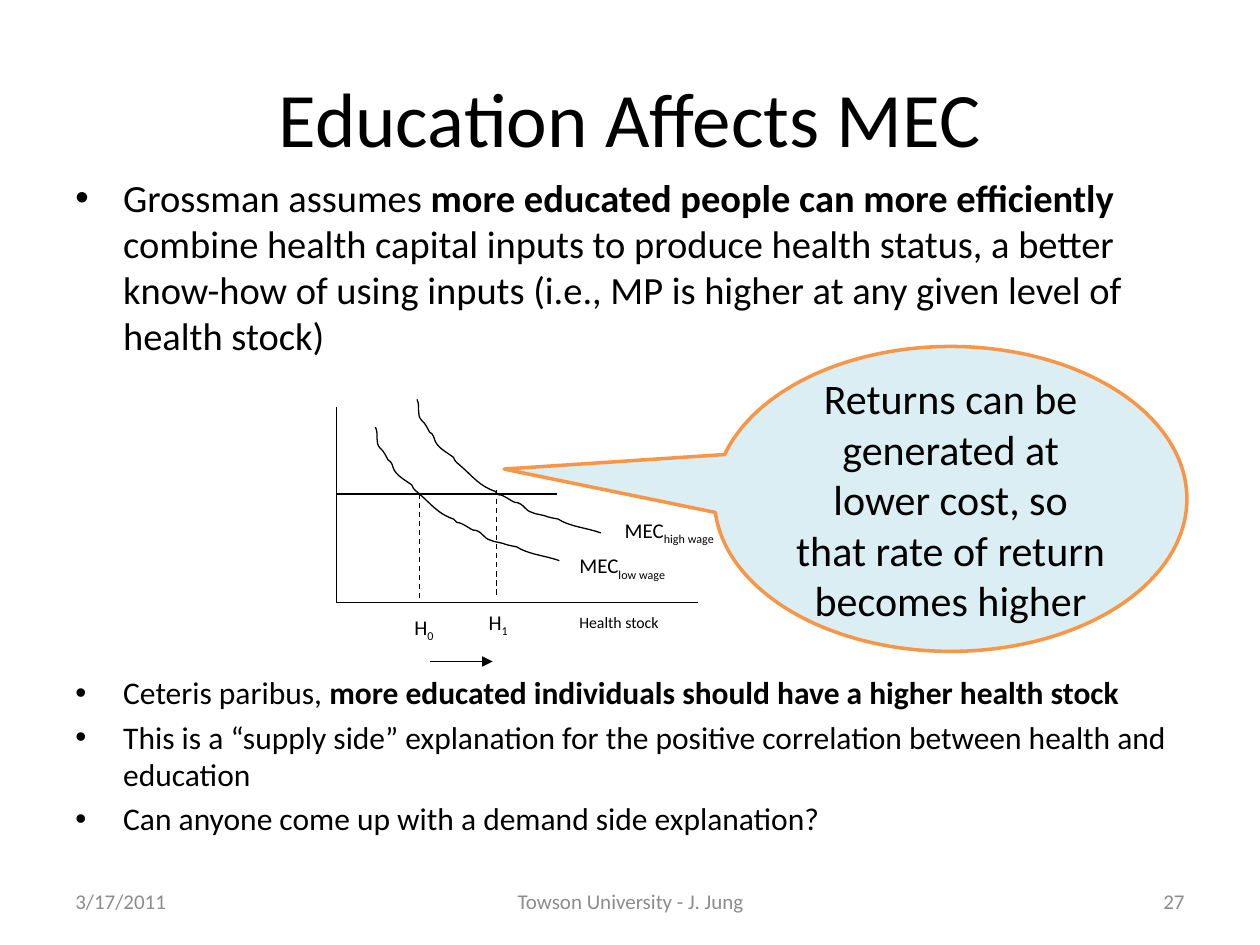
from pptx import Presentation
from pptx.dml.color import RGBColor
from pptx.enum.dml import MSO_LINE
from pptx.enum.shapes import MSO_CONNECTOR, MSO_SHAPE
from pptx.enum.text import MSO_ANCHOR, PP_ALIGN
from pptx.oxml.ns import qn
from pptx.util import Inches, Pt
from lxml import etree

BLACK = RGBColor(0, 0, 0)
GRAY = RGBColor(0x8C, 0x8C, 0x8C)
PALE_BLUE = RGBColor(0xDB, 0xEE, 0xF4)
ORANGE = RGBColor(0xF7, 0x96, 0x46)
LEFT, CENTER, RIGHT = PP_ALIGN.LEFT, PP_ALIGN.CENTER, PP_ALIGN.RIGHT
TOP, MIDDLE = MSO_ANCHOR.TOP, MSO_ANCHOR.MIDDLE
DASH = MSO_LINE.DASH
STRAIGHT = MSO_CONNECTOR.STRAIGHT
CALLOUT = MSO_SHAPE.OVAL_CALLOUT
FONT = "Calibri"

CURVE_START = (2.98, 3.39)
CURVE_SEGMENTS = [
    ((3.01, 3.45), (2.97, 3.51), (3.02, 3.56)),
    ((3.04, 3.57), (3.07, 3.63), (3.08, 3.65)),
    ((3.11, 3.66), (3.12, 3.71), (3.12, 3.71)),
    ((3.14, 3.77), (3.2, 3.8), (3.27, 3.85)),
    ((3.28, 3.89), (3.31, 3.9), (3.34, 3.93)),
    ((3.42, 4), (3.48, 4.08), (3.6, 4.12)),
    ((3.66, 4.18), (3.6, 4.12), (3.69, 4.17)),
    ((3.71, 4.18), (3.72, 4.19), (3.74, 4.2)),
    ((3.75, 4.21), (3.77, 4.21), (3.78, 4.21)),
    ((3.85, 4.24), (3.83, 4.27), (3.9, 4.29)),
    ((3.91, 4.3), (4, 4.31), (4.01, 4.32)),
    ((4.04, 4.33), (4.1, 4.34), (4.1, 4.34)),
    ((4.19, 4.4), (4.33, 4.41), (4.44, 4.45)),
]

BULLETS = [
    (22, 0, [
        ("Grossman assumes ", False),
        ("more educated people can more efficiently ", True),
        ("combine health capital inputs to produce health status, a better "
         "know-how of using inputs (i.e., MP is higher at any given level of "
         "health stock)", False)]),
    (18, 180, [
        ("Ceteris paribus, ", False),
        ("more educated individuals should have a higher health stock", True)]),
    (18, 3.6, [
        ("This is a \u201csupply side\u201d explanation for the positive "
         "correlation between health and education", False)]),
    (18, 3.6, [
        ("Can anyone come up with a demand side explanation?", False)]),
]


def add_span(para, text, size, color=BLACK, bold=False, subscript=False):
    span = para.add_run()
    span.text = text
    span.font.name = FONT
    span.font.size = Pt(size)
    span.font.bold = bold
    span.font.color.rgb = color
    if subscript:
        span.font._element.set("baseline", "-25000")


def add_box(slide, left, top, width, height, anchor=TOP):
    box = slide.shapes.add_textbox(
        Inches(left), Inches(top), Inches(width), Inches(height))
    box.text_frame.word_wrap = True
    box.text_frame.vertical_anchor = anchor
    return box.text_frame


def add_title(slide, text):
    title = slide.shapes.title
    title.left, title.top = Inches(0.5), Inches(0.3)
    title.width, title.height = Inches(9), Inches(1.25)
    title.text_frame.vertical_anchor = MIDDLE
    para = title.text_frame.paragraphs[0]
    para.alignment = CENTER
    add_span(para, text, 44)


def add_bullets(slide):
    frame = add_box(slide, 0.5, 1.33, 9, 5.37)
    for index, (size, space_before, spans) in enumerate(BULLETS):
        para = frame.add_paragraph() if index else frame.paragraphs[0]
        para.space_before = Pt(space_before)
        properties = para._p.get_or_add_pPr()
        properties.set("marL", str(Inches(0.38)))
        properties.set("indent", str(Inches(-0.38)))
        etree.SubElement(properties, qn("a:buFont")).set("typeface", "Arial")
        etree.SubElement(properties, qn("a:buChar")).set("char", "\u2022")
        for text, bold in spans:
            add_span(para, text, size, bold=bold)


def add_footer(slide, left, width, text, alignment):
    para = add_box(slide, left, 6.95, width, 0.4, MIDDLE).paragraphs[0]
    para.alignment = alignment
    add_span(para, text, 12, GRAY)


def add_label(slide, left, top, width, text, subscript="", size=12):
    height = 0.3 if subscript else 0.25
    para = add_box(slide, left, top, width, height).paragraphs[0]
    add_span(para, text, size)
    if subscript:
        add_span(para, subscript, size, subscript=True)


def add_line(slide, start, end, dash=None, arrow=False):
    line = slide.shapes.add_connector(
        STRAIGHT, *(Inches(value) for value in (*start, *end)))
    line.line.color.rgb = BLACK
    line.line.width = Pt(0.75)
    if dash:
        line.line.dash_style = dash
    if arrow:
        outline = line.line._get_or_add_ln()
        etree.SubElement(outline, qn("a:tailEnd")).set("type", "triangle")
    etree.SubElement(line._element.spPr, qn("a:effectLst"))


def add_mec_curve(slide, shift_x=0, shift_y=0):
    def shifted(point):
        return Inches(point[0] + shift_x), Inches(point[1] + shift_y)

    builder = slide.shapes.build_freeform(*shifted(CURVE_START))
    builder.add_line_segments(
        [shifted(segment[-1]) for segment in CURVE_SEGMENTS], close=False)
    curve = builder.convert_to_shape()
    straight_parts = list(curve._element.spPr.iter(qn("a:lnTo")))
    for part, segment in zip(straight_parts, CURVE_SEGMENTS):
        bend = etree.Element(qn("a:cubicBezTo"))
        for x, y in map(shifted, segment):
            point = etree.SubElement(bend, qn("a:pt"))
            point.set("x", str(x - curve.left))
            point.set("y", str(y - curve.top))
        part.getparent().replace(part, bend)
    curve.shadow.inherit = False
    curve.fill.background()
    curve.line.color.rgb = BLACK
    curve.line.width = Pt(0.75)


def add_callout(slide, text):
    callout = slide.shapes.add_shape(
        CALLOUT, Inches(5.67), Inches(2.75), Inches(3.75), Inches(2.42))
    callout.adjustments[0] = -0.945
    callout.adjustments[1] = -0.098
    callout.shadow.inherit = False
    callout.fill.solid()
    callout.fill.fore_color.rgb = PALE_BLUE
    callout.line.color.rgb = ORANGE
    callout.line.width = Pt(2)
    frame = callout.text_frame
    frame.word_wrap = True
    frame.vertical_anchor = MIDDLE
    para = frame.paragraphs[0]
    para.alignment = CENTER
    add_span(para, text, 24)


def add_diagram(slide):
    add_line(slide, (2.67, 3.23), (2.67, 4.78))
    add_line(slide, (2.67, 4.78), (5.54, 4.78))
    add_label(slide, 3.78, 4.79, 0.56, "H", "1")
    add_label(slide, 4.5, 4.81, 1.36, "Health stock", size=9)
    add_mec_curve(slide)
    add_label(slide, 4.5, 4.34, 1.27, "MEC", "low wage")
    add_line(slide, (3.94, 3.89), (3.94, 4.74), dash=DASH)
    add_mec_curve(slide, 0.33, -0.22)
    add_label(slide, 4.86, 4.06, 1.27, "MEC", "high wage")
    add_line(slide, (2.67, 3.92), (4.42, 3.92))
    add_label(slide, 3.19, 4.83, 0.56, "H", "0")
    add_line(slide, (3.33, 3.92), (3.33, 4.76), dash=DASH)
    add_line(slide, (3.41, 5.25), (3.91, 5.25), arrow=True)


def main():
    deck = Presentation()
    deck.slide_width, deck.slide_height = Inches(10), Inches(7.5)
    slide = deck.slides.add_slide(deck.slide_layouts[5])
    add_title(slide, "Education Affects MEC")
    add_bullets(slide)
    add_footer(slide, 0.5, 2.33, "3/17/2011", LEFT)
    add_footer(slide, 3.42, 3.17, "Towson University - J. Jung", CENTER)
    add_footer(slide, 7.17, 2.33, "27", RIGHT)
    add_diagram(slide)
    add_callout(slide, "Returns can be generated at lower cost, so that rate "
                       "of return becomes higher")
    deck.save("out.pptx")


main()
